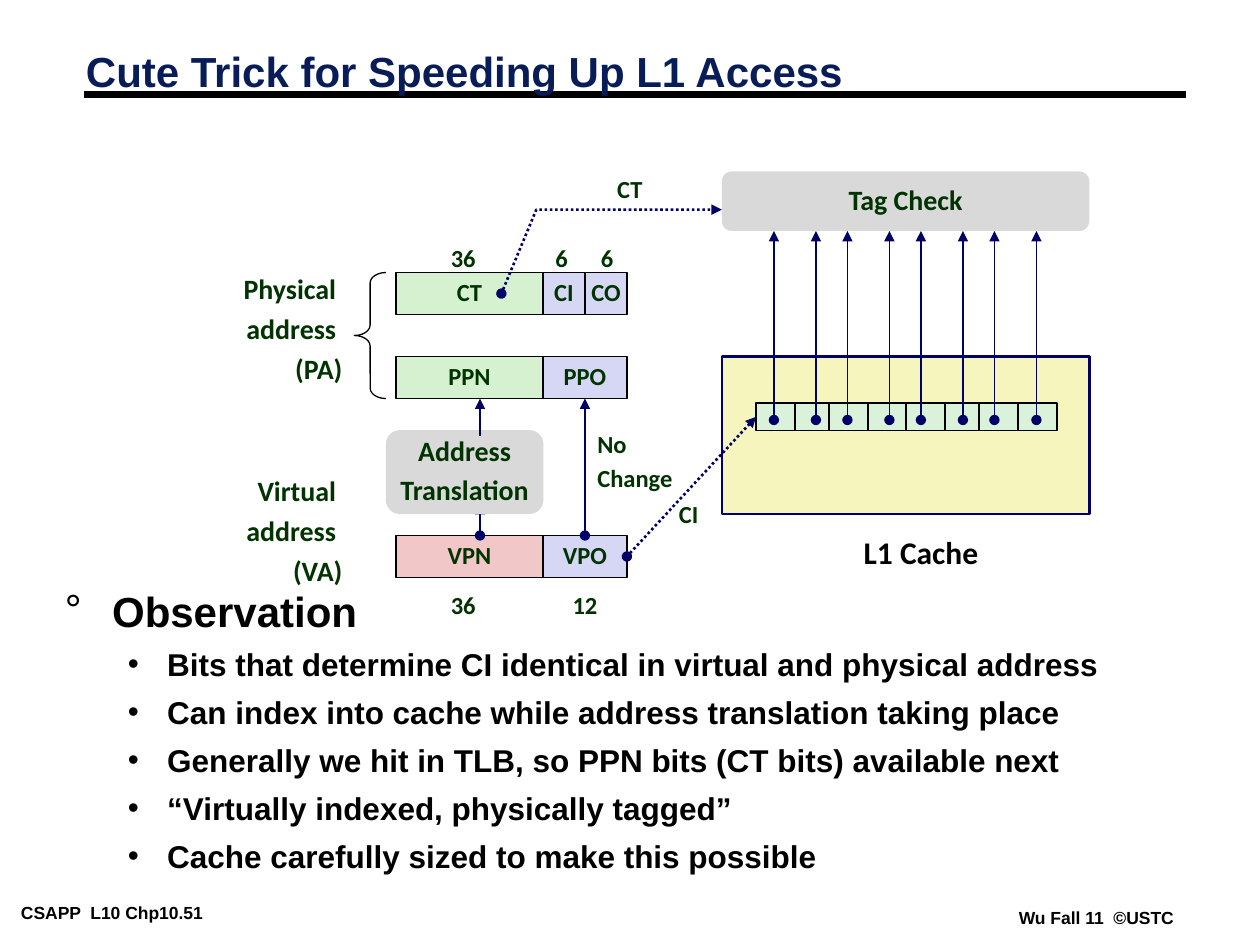
from dataclasses import dataclass

from lxml import etree
from pptx import Presentation
from pptx.dml.color import RGBColor
from pptx.enum.dml import MSO_LINE
from pptx.enum.shapes import MSO_CONNECTOR, MSO_SHAPE
from pptx.enum.text import MSO_ANCHOR, PP_ALIGN
from pptx.oxml.ns import qn
from pptx.util import Pt

RECT, ROUNDED, BRACE = MSO_SHAPE.RECTANGLE, MSO_SHAPE.ROUNDED_RECTANGLE, MSO_SHAPE.LEFT_BRACE
STRAIGHT = MSO_CONNECTOR.STRAIGHT
DOTTED = MSO_LINE.ROUND_DOT
LEFT, CENTER, RIGHT = PP_ALIGN.LEFT, PP_ALIGN.CENTER, PP_ALIGN.RIGHT
TOP, MIDDLE = MSO_ANCHOR.TOP, MSO_ANCHOR.MIDDLE
SIDE_TOP, SIDE_LEFT, SIDE_BOTTOM, SIDE_RIGHT = range(4)


@dataclass(frozen=True)
class Theme:
    heading_font: str = "Arial"
    diagram_font: str = "Calibri"
    black: str = "000000"
    title: str = "081D58"
    label: str = "003300"
    arrow: str = "000066"
    tag: str = "D5F1CF"
    offset: str = "D6D6F5"
    virtual: str = "F1C7C7"
    unit: str = "D9D9D9"
    cache: str = "F6F5BD"
    cell: str = "DBF2DA"
    heading_size: float = 24
    body_size: float = 18
    unit_size: float = 16
    label_size: float = 14
    footer_size: float = 10


THEME = Theme()


@dataclass(frozen=True)
class Field:
    """One part of an address; left and top in points."""
    name: str
    left: float
    top: float
    width: float
    color: str


@dataclass(frozen=True)
class Label:
    lines: tuple[str, ...]
    left: float
    top: float
    width: float
    height: float
    size: float = THEME.label_size
    align: PP_ALIGN = LEFT
    color: str = THEME.label
    spacing: float = 0.88
    before: float = 5.2
    wrap: bool = False


TAG_LEFT, TAG_WIDTH = 226.25, 84
OFFSET_LEFT, HALF = TAG_LEFT + TAG_WIDTH, 24
FIELD_HEIGHT = 24
CACHE_ADDRESS_TOP, PHYSICAL_TOP, VIRTUAL_TOP = 155.75, 203.75, 306
TRANSLATION_X = 274.3
CACHE_LEFT, CACHE_WIDTH = 412.5, 210
TAG_CHECK_TOP, TAG_CHECK_HEIGHT = 98, 34

FIELDS = [
    Field("CT", TAG_LEFT, CACHE_ADDRESS_TOP, TAG_WIDTH, THEME.tag),
    Field("CI", OFFSET_LEFT, CACHE_ADDRESS_TOP, HALF, THEME.offset),
    Field("CO", OFFSET_LEFT + HALF, CACHE_ADDRESS_TOP, HALF, THEME.offset),
    Field("PPN", TAG_LEFT, PHYSICAL_TOP, TAG_WIDTH, THEME.tag),
    Field("PPO", OFFSET_LEFT, PHYSICAL_TOP, 2 * HALF, THEME.offset),
    Field("VPN", TAG_LEFT, VIRTUAL_TOP, TAG_WIDTH, THEME.virtual),
    Field("VPO", OFFSET_LEFT, VIRTUAL_TOP, 2 * HALF, THEME.offset),
]

LABELS = [
    Label(("Physical ", "address ", "(PA)"), 6, 154, 196.75, 70,
          THEME.unit_size, RIGHT, before=6, wrap=True),
    Label(("Virtual ", "address ", "(VA)"), 118, 269.5, 84.75, 70,
          THEME.unit_size, RIGHT, before=6, wrap=True),
    Label(("36",), 250.5, 137.75, 29, 21.6),
    Label(("6",), 310.25, 137.75, 21.6, 21.6),
    Label(("6",), 336.3, 137.75, 21.6, 21.6),
    Label(("36",), 250.5, 335.75, 29, 21.6),
    Label(("12",), 310.25, 335.75, 48, 21.6, align=CENTER, wrap=True),
    Label(("No", "Change"), 334.25, 243.5, 57.6, 41.8),
    Label(("CI",), 380.9, 283.7, 32, 21.6),
    Label(("CT",), 345.6, 98, 32, 21.6),
    Label(("L1 Cache",), 478.25, 301, 96, 28.8, THEME.body_size, CENTER,
          THEME.black, spacing=1, wrap=True),
]

OBSERVATIONS = (
    "Bits that determine CI identical in virtual and physical address",
    "Can index into cache while address translation taking place",
    "Generally we hit in TLB, so PPN bits (CT bits) available next",
    "“Virtually indexed, physically tagged”",
    "Cache carefully sized to make this possible",
)


def rgb(color: str) -> RGBColor:
    return RGBColor.from_string(color)


def write(paragraph, text: str, *, size: float, color: str = THEME.label,
          font: str = THEME.diagram_font, align=LEFT, spacing: float = 1.0,
          before: float = 0) -> None:
    paragraph.text = text
    paragraph.alignment = align
    paragraph.line_spacing = spacing
    paragraph.space_before = Pt(before)
    paragraph.font.name = font
    paragraph.font.size = Pt(size)
    paragraph.font.bold = True
    paragraph.font.color.rgb = rgb(color)


def write_lines(frame, lines: tuple[str, ...], *, before: float = 5.2, **style) -> None:
    for index, text in enumerate(lines):
        paragraph = frame.add_paragraph() if index else frame.paragraphs[0]
        write(paragraph, text, before=before if index else 0, **style)


def add_frame(slide, left: float, top: float, width: float, height: float, *,
              anchor=TOP, wrap: bool = True):
    frame = slide.shapes.add_textbox(Pt(left), Pt(top), Pt(width), Pt(height)).text_frame
    frame.word_wrap = wrap
    frame.vertical_anchor = anchor
    return frame


def add_block(slide, kind, left: float, top: float, width: float, height: float, *,
              fill: str | None = None, line: str | None = None, line_width: float = 0.75,
              lines: tuple[str, ...] = (), size: float = THEME.label_size):
    block = slide.shapes.add_shape(kind, Pt(left), Pt(top), Pt(width), Pt(height))
    block.shadow.inherit = False
    if fill:
        block.fill.solid()
        block.fill.fore_color.rgb = rgb(fill)
    else:
        block.fill.background()
    if line:
        block.line.color.rgb = rgb(line)
        block.line.width = Pt(line_width)
    else:
        block.line.fill.background()
    if lines:
        block.text_frame.word_wrap = False
        block.text_frame.vertical_anchor = MIDDLE
        write_lines(block.text_frame, lines, size=size, align=CENTER, spacing=0.88)
    return block


def style_arrow(arrow, *, width: float = 0.75, dash=None, dot: bool = True) -> None:
    arrow.line.color.rgb = rgb(THEME.arrow)
    arrow.line.width = Pt(width)
    if dash:
        arrow.line.dash_style = dash
    outline = arrow.element.spPr.find(qn("a:ln"))
    if dot:
        etree.SubElement(outline, qn("a:headEnd"), type="oval")
    etree.SubElement(outline, qn("a:tailEnd"), type="triangle")


def add_line(slide, x1: float, y1: float, x2: float, y2: float):
    line = slide.shapes.add_connector(STRAIGHT, Pt(x1), Pt(y1), Pt(x2), Pt(y2))
    etree.SubElement(line.element.spPr, qn("a:effectLst"))
    return line


def join(slide, start, start_side: int, end, end_side: int):
    line = add_line(slide, 0, 0, 0, 0)
    line.begin_connect(start, start_side)
    line.end_connect(end, end_side)
    return line


def set_bullet(paragraph, symbol: str, margin: float, hanging: float) -> None:
    properties = paragraph._p.get_or_add_pPr()
    properties.set("marL", str(Pt(margin)))
    properties.set("indent", str(-Pt(hanging)))
    etree.SubElement(properties, qn("a:buFont"), typeface=THEME.heading_font)
    etree.SubElement(properties, qn("a:buChar"), char=symbol)


def add_page_text(slide) -> None:
    heading = dict(font=THEME.heading_font, color=THEME.black)
    for text, left, top, width in (("CSAPP  L10 Chp10.51", 7, 513.25, 151),
                                   ("Wu Fall 11  ©USTC", 577.25, 516.5, 99.5)):
        footer = add_frame(slide, left, top, width, 16, wrap=False)
        footer.margin_left = footer.margin_right = Pt(5)
        footer.margin_top = footer.margin_bottom = Pt(2)
        write(footer.paragraphs[0], text, size=THEME.footer_size, **heading)
    rule = add_line(slide, 48, 54, 678, 54)
    rule.line.color.rgb = rgb(THEME.black)
    rule.line.width = Pt(4.5)
    title = add_frame(slide, 42, 26, 624, 32.5, anchor=MIDDLE)
    write(title.paragraphs[0], "Cute Trick for Speeding Up L1 Access", spacing=0.87,
          size=THEME.heading_size, font=THEME.heading_font, color=THEME.title)

    body = add_frame(slide, 30, 337.75, 673, 184.5)
    set_bullet(body.paragraphs[0], "°", 27, 27)
    write(body.paragraphs[0], "Observation", size=THEME.heading_size, spacing=0.75, **heading)
    for text in OBSERVATIONS:
        paragraph = body.add_paragraph()
        paragraph.level = 1
        set_bullet(paragraph, "•", 58.5, 22.5)
        write(paragraph, text, size=THEME.body_size, spacing=0.85, before=9, **heading)


def add_addresses(slide) -> dict:
    fields = {field.name: add_block(slide, RECT, field.left, field.top, field.width,
                                    FIELD_HEIGHT, fill=field.color, line=THEME.black,
                                    lines=(field.name,))
              for field in FIELDS}
    brace = add_block(slide, BRACE, 202.5, CACHE_ADDRESS_TOP, 18, 72, line=THEME.black)
    brace.adjustments[0] = 0.33
    style_arrow(add_line(slide, TRANSLATION_X, VIRTUAL_TOP, TRANSLATION_X, 288))
    add_block(slide, ROUNDED, 220.5, 245.75, 90, 48, fill=THEME.unit,
              lines=("Address", "Translation"), size=THEME.unit_size)
    style_arrow(add_line(slide, TRANSLATION_X, 249, TRANSLATION_X,
                         PHYSICAL_TOP + FIELD_HEIGHT), dot=False)
    style_arrow(join(slide, fields["VPO"], SIDE_TOP, fields["PPO"], SIDE_BOTTOM))
    return fields


def add_cache(slide, index_source) -> None:
    add_block(slide, RECT, CACHE_LEFT, 203.75, CACHE_WIDTH, 90, fill=THEME.cache,
              line=THEME.arrow, line_width=1.5)
    cells = [add_block(slide, RECT, 432 + 85.6 * half + 41.9 * pair + 22.3 * way, 230.4,
                       22.3, 15.6, fill=THEME.cell, line=THEME.black, line_width=1)
             for half in range(2) for pair in range(2) for way in range(2)]
    style_arrow(join(slide, index_source, SIDE_RIGHT, cells[0], SIDE_LEFT),
                width=1.5, dash=DOTTED)
    for index in range(len(cells)):
        x = 442.25 + 42 * (index // 2) + 24 * (index % 2)
        style_arrow(add_line(slide, x, 240, x, TAG_CHECK_TOP + TAG_CHECK_HEIGHT))
    add_block(slide, ROUNDED, CACHE_LEFT, TAG_CHECK_TOP, CACHE_WIDTH, TAG_CHECK_HEIGHT,
              fill=THEME.unit, lines=("Tag Check",), size=THEME.unit_size)


def add_tag_route(slide) -> None:
    builder = slide.shapes.build_freeform(Pt(286.5), Pt(167.75))
    builder.add_line_segments([(Pt(306.5), Pt(119.75)), (Pt(CACHE_LEFT), Pt(119.75))],
                              close=False)
    route = builder.convert_to_shape()
    route.shadow.inherit = False
    route.fill.background()
    style_arrow(route, width=1.5, dash=DOTTED)


def main() -> None:
    presentation = Presentation()
    presentation.slide_width, presentation.slide_height = Pt(720), Pt(540)
    slide = presentation.slides.add_slide(presentation.slide_layouts[6])
    add_page_text(slide)
    fields = add_addresses(slide)
    add_cache(slide, fields["VPO"])
    add_tag_route(slide)
    for label in LABELS:
        frame = add_frame(slide, label.left, label.top, label.width, label.height,
                          wrap=label.wrap)
        write_lines(frame, label.lines, size=label.size, color=label.color,
                    align=label.align, spacing=label.spacing, before=label.before)
    presentation.save("out.pptx")


if __name__ == "__main__":
    main()
